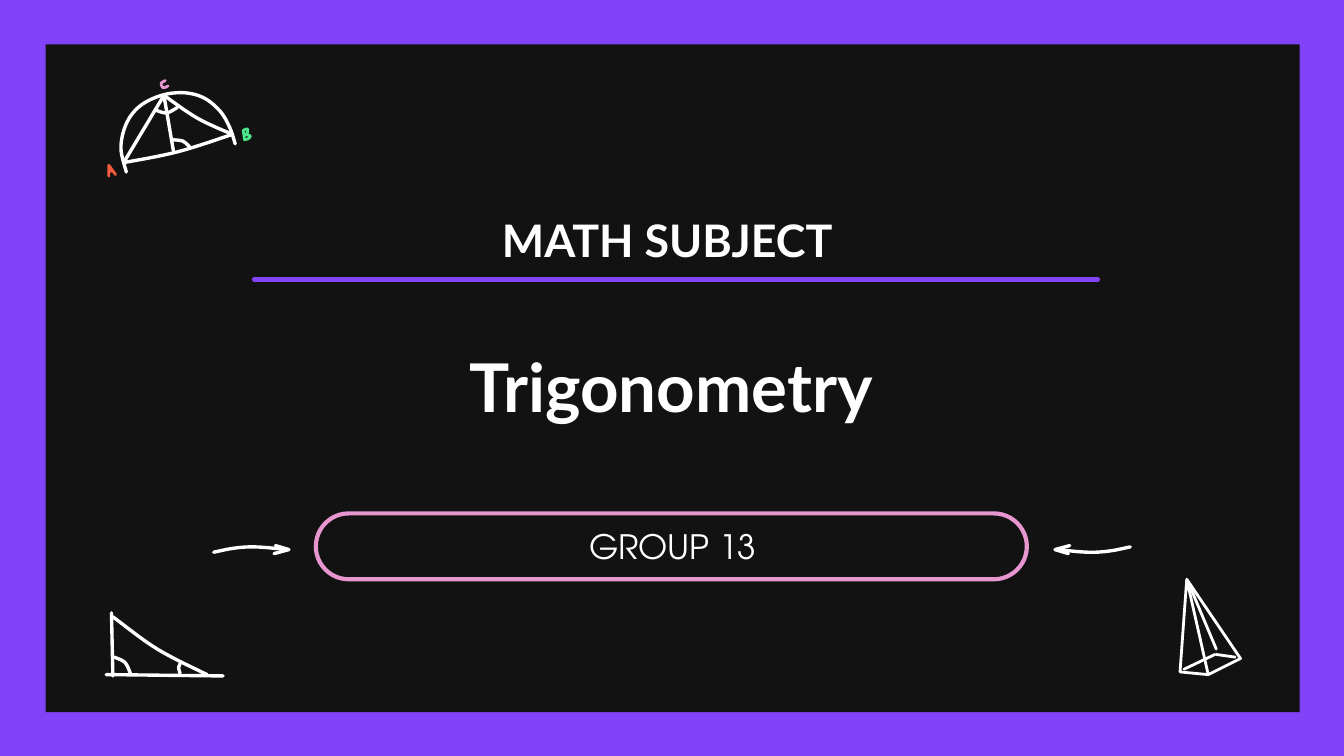
from dataclasses import dataclass

from lxml import etree
from pptx import Presentation
from pptx.dml.color import RGBColor as RGB
from pptx.enum.shapes import MSO_CONNECTOR as CONN, MSO_SHAPE as SHAPE
from pptx.enum.text import MSO_ANCHOR as ANCHOR, MSO_AUTO_SIZE as FIT, PP_ALIGN as ALIGN
from pptx.oxml.ns import qn
from pptx.util import Inches, Pt


@dataclass(frozen=True)
class Theme:
    dark: RGB = RGB(0x12, 0x12, 0x12)
    purple: RGB = RGB(0x82, 0x42, 0xF8)
    white: RGB = RGB(0xFF, 0xFF, 0xFF)
    pink: RGB = RGB(0xE8, 0x96, 0xD0)
    red: RGB = RGB(0xF4, 0x5A, 0x3E)
    green: RGB = RGB(0x4B, 0xE5, 0x8A)
    heading: str = "Lato"
    body: str = "TeX Gyre Adventor"
    title: float = 36
    subject: float = 24
    group: float = 18
    rule: float = 2.25
    thin: float = 1.5
    pen: float = 1.8


T = Theme()


def smooth(points, steps=8):
    ends = [points[0], *points, points[-1]]
    out = [points[0]]
    for a, b, c, d in zip(ends, ends[1:], ends[2:], ends[3:]):
        for i in range(1, steps + 1):
            t = i / steps
            out.append(tuple(
                q + t * (r - p + t * (2 * p - 5 * q + 4 * r - u + t * (3 * (q - r) + u - p))) / 2
                for p, q, r, u in zip(a, b, c, d)))
    return out


def sketch(s, x, y, strokes, color=T.white, width=T.pen):
    strokes = [[(Inches(x + px), Inches(y + py)) for px, py in pts] for pts in strokes]
    builder = s.shapes.build_freeform(*strokes[0][0])
    for i, pts in enumerate(strokes):
        if i:
            builder.move_to(*pts[0])
        builder.add_line_segments(pts[1:], close=False)
    sp = builder.convert_to_shape()
    sp.shadow.inherit = False
    sp.fill.background()
    set_line(sp, color, width)


def set_line(sp, color, width):
    sp.line.color.rgb = color
    sp.line.width = Pt(width)
    sp._element.spPr.get_or_add_ln().set("cap", "rnd")


def write(sp, box, text, font, size, bold=False):
    sp.left, sp.top, sp.width, sp.height = map(Inches, box)
    tf = sp.text_frame
    tf.text = text
    tf.word_wrap = True
    tf.auto_size = FIT.NONE
    tf.vertical_anchor = ANCHOR.MIDDLE
    tf.margin_left = tf.margin_right = tf.margin_top = tf.margin_bottom = Inches(0.1)
    p = tf.paragraphs[0]
    p.alignment = ALIGN.CENTER
    p.font.name, p.font.size, p.font.bold = font, Pt(size), bold
    p.font.color.rgb = T.white


def label(s, box, *style):
    write(s.shapes.add_textbox(*map(Inches, box)), box, *style)


def border(s, w, h):
    s.background.fill.solid()
    s.background.fill.fore_color.rgb = T.dark
    panels = [((0, 0, w, h), T.purple), ((0.34, 0.33, 9.33, 4.97), T.dark)]
    for i, (box, color) in enumerate(panels):
        sp = s.shapes.add_shape(SHAPE.RECTANGLE, *map(Inches, box))
        sp.shadow.inherit = False
        sp.fill.solid()
        sp.fill.fore_color.rgb = color
        sp.line.fill.background()
        s.shapes._spTree.insert(2 + i, sp._element)


def subject(s, x, y, w):
    label(s, (x, y, w, 0.29), "MATH SUBJECT ", T.heading, T.subject, True)
    rule = s.shapes.add_connector(
        CONN.STRAIGHT, Inches(x + 0.03), Inches(y + 0.44), Inches(x + w + 0.03), Inches(y + 0.44))
    set_line(rule, T.purple, T.rule)
    etree.SubElement(rule._element.spPr, qn("a:effectLst"))


def group_pill(s, x, y, w, h):
    sp = s.shapes.add_shape(SHAPE.ROUNDED_RECTANGLE, *map(Inches, (x, y, w, h)))
    sp.adjustments[0] = 0.5
    sp.shadow.inherit = False
    sp.fill.background()
    set_line(sp, T.pink, T.rule)
    label(s, (x + 0.08, y + 0.1, w - 0.14, h - 0.2), "GROUP 13", T.body, T.group)


def arrow(s, x, y, w=0.58, h=0.08, turned=False):
    shaft = smooth([(0.01, 0.06), (0.16, 0.03), (0.32, 0.02), (0.56, 0.04)])
    head = [(0.47, 0.01), (w - 0.01, 0.04), (0.46, 0.07)]
    strokes = [shaft, head]
    if turned:
        strokes = [[(w - px, h - py) for px, py in pts] for pts in strokes]
    sketch(s, x, y, strokes)


def semicircle(s, x, y):
    a, b, c, foot = (0.04, 0.53), (0.85, 0.32), (0.34, 0.03), (0.41, 0.44)
    arc = [(0.06, 0.6), (0.02, 0.42), (0.06, 0.24), (0.16, 0.11), (0.32, 0.03),
           (0.49, 0.01), (0.64, 0.05), (0.76, 0.15), (0.83, 0.27), (0.87, 0.39)]
    sketch(s, x, y, [
        smooth(arc),
        smooth([a, (0.44, 0.45), b]),
        [a, c, foot],
        smooth([c, (0.59, 0.2), b]),
        smooth([(0.28, 0.14), (0.36, 0.16), (0.44, 0.12)]),
        smooth([(0.41, 0.36), (0.48, 0.37), (0.53, 0.41)]),
    ])
    sketch(s, x - 0.08, y + 0.55,
           [[(0.01, 0.08), (0.01, 0), (0.06, 0.07)], [(0.01, 0.05), (0.03, 0.04)]],
           T.red, T.thin)
    sketch(s, x + 0.32, y - 0.08,
           [smooth([(0.03, 0), (0, 0.02), (0.01, 0.05), (0.03, 0.05), (0.05, 0.04)])],
           T.pink, T.thin)
    sketch(s, x + 0.92, y + 0.28,
           [[(0.01, 0.01), (0.02, 0.08)],
            smooth([(0.01, 0.01), (0.04, 0), (0.04, 0.03), (0.02, 0.04),
                    (0.06, 0.05), (0.05, 0.07), (0.02, 0.08)])], T.green, T.thin)


def triangle(s, x, y):
    sketch(s, x, y, [
        [(0.05, 0.01), (0.06, 0.48)],
        [(0.01, 0.47), (0.88, 0.48)],
        smooth([(0.06, 0.04), (0.39, 0.28), (0.76, 0.47)]),
        smooth([(0.07, 0.34), (0.15, 0.38), (0.19, 0.46)]),
        smooth([(0.56, 0.39), (0.55, 0.42), (0.56, 0.46)]),
    ])


def pyramid(s, x, y):
    apex, left, front, right = (0.05, 0), (0, 0.69), (0.21, 0.71), (0.45, 0.59)
    sketch(s, x, y, [
        [apex, left, front, apex, right, front],
        [(0.03, 0.67), (0.26, 0.56)],
        [(0.06, 0.02), (0.27, 0.52)],
        [(0.27, 0.56), (0.41, 0.58)],
    ], width=T.thin)


def cover(prs, w, h):
    s = prs.slides.add_slide(prs.slide_layouts[5])
    border(s, w, h)
    write(s.shapes.title, (1.28, 2.16, 7.43, 1.42), "Trigonometry", T.heading, T.title, True)
    pyramid(s, 8.78, 4.31)
    triangle(s, 0.78, 4.55)
    semicircle(s, 0.88, 0.68)
    arrow(s, 1.58, 4.05)
    arrow(s, 7.84, 4.05, turned=True)
    subject(s, 1.86, 1.64, 6.28)
    group_pill(s, 2.35, 3.82, 5.29, 0.49)


def main():
    w = 10
    h = w * 9 / 16
    prs = Presentation()
    prs.slide_width, prs.slide_height = Inches(w), Inches(h)
    cover(prs, w, h)
    prs.save("out.pptx")


if __name__ == "__main__":
    main()
